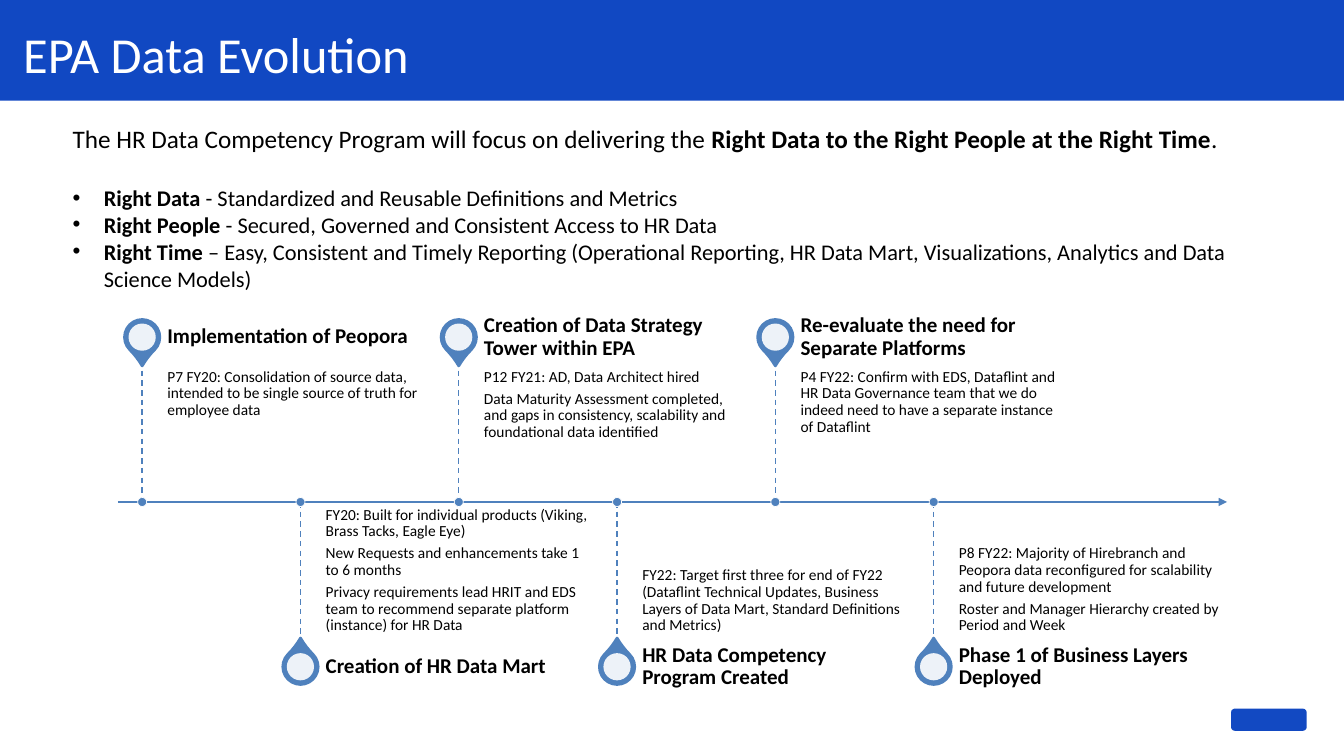
from lxml import etree
from pptx import Presentation
from pptx import util as u
from pptx.dml import color
from pptx.enum import dml, shapes, text
from pptx.oxml import ns

COLOURS = {"brand": "1148C2", "logo": "1249C2", "accent": "4F81BD",
           "white": "FFFFFF", "black": "000000"}
ANCHOR = text.MSO_ANCHOR

AXIS_Y = 4.98
FIRST_X, STEP_X = 1.41, 1.57
PIN, HOLE, DOT = 0.35, 0.27, 0.09
TEXT_W, DETAIL_H, HEADING_H = 2.62, 1.39, 0.49

# Milestones alternate above and below the axis
MILESTONES = [
    ("Implementation of Peopora",
     ["P7 FY20: Consolidation of source data, intended to be single source of "
      "truth for employee data"]),
    ("Creation of HR Data Mart",
     ["FY20: Built for individual products (Viking, Brass Tacks, Eagle Eye)",
      "New Requests and enhancements take 1 to 6 months",
      "Privacy requirements lead HRIT and EDS team to recommend separate "
      "platform (instance) for HR Data"]),
    ("Creation of Data Strategy Tower within EPA",
     ["P12 FY21: AD, Data Architect hired",
      "Data Maturity Assessment completed, and gaps in consistency, "
      "scalability and foundational data identified"]),
    ("HR Data Competency Program Created",
     ["FY22: Target first three for end of FY22 (Dataflint Technical Updates, "
      "Business Layers of Data Mart, Standard Definitions and Metrics)"]),
    ("Re-evaluate the need for Separate Platforms",
     ["P4 FY22: Confirm with EDS, Dataflint and HR Data Governance team that "
      "we do indeed need to have a separate instance of Dataflint"]),
    ("Phase 1 of Business Layers Deployed",
     ["P8 FY22: Majority of Hirebranch and Peopora data reconfigured for "
      "scalability and future development",
      "Roster and Manager Hierarchy created by Period and Week"]),
]

INTRO = [("The HR Data Competency Program will focus on delivering the ", False),
         ("Right Data to the Right People at the Right Time", True), (".", False)]
PRINCIPLES = [
    ("Right Data", " - Standardized and Reusable Definitions and Metrics"),
    ("Right People", " - Secured, Governed and Consistent Access to HR Data"),
    ("Right Time", " – Easy, Consistent and Timely Reporting (Operational "
     "Reporting, HR Data Mart, Visualizations, Analytics and Data Science Models)"),
]


def rgb(name):
    return color.RGBColor.from_string(COLOURS[name])


def add_text(paragraph, words, size=11, bold=False, colour="black"):
    run = paragraph.add_run()
    run.text = words
    run.font.name = "Calibri"
    run.font.size = u.Pt(size)
    run.font.bold = bold
    run.font.color.rgb = rgb(colour)


def set_bullet(paragraph, char=None, indent=0):
    props = paragraph._p.get_or_add_pPr()
    props.set("marL", str(u.Inches(indent)))
    props.set("indent", str(-u.Inches(indent)))
    if char:
        etree.SubElement(props, ns.qn("a:buFont")).set("typeface", "Arial")
        etree.SubElement(props, ns.qn("a:buChar")).set("char", char)
    else:
        etree.SubElement(props, ns.qn("a:buNone"))


def place(shape, left, top, width, height):
    shape.left, shape.top = u.Inches(left), u.Inches(top)
    shape.width, shape.height = u.Inches(width), u.Inches(height)


def set_frame(frame, insets, anchor):
    frame.word_wrap = True
    frame.auto_size = text.MSO_AUTO_SIZE.NONE
    frame.vertical_anchor = anchor
    (frame.margin_left, frame.margin_top,
     frame.margin_right, frame.margin_bottom) = map(u.Inches, insets)


class TimelineSlide:
    def __init__(self, prs):
        self.slide = prs.slides.add_slide(prs.slide_layouts[1])
        self.shapes = self.slide.shapes

    def shape(self, kind, left, top, width, height, fill, line=None, weight=1):
        item = self.shapes.add_shape(kind, *map(u.Inches, (left, top, width, height)))
        item.shadow.inherit = False
        item.fill.solid()
        item.fill.fore_color.rgb = rgb(fill)
        if line:
            item.line.color.rgb = rgb(line)
            item.line.width = u.Pt(weight)
        else:
            item.line.fill.background()
        return item

    def disc(self, x, y, size, *style):
        return self.shape(shapes.MSO_SHAPE.OVAL, x - size / 2, y - size / 2,
                          size, size, *style)

    def line(self, x1, y1, x2, y2, weight, dashed=False, arrow=False):
        item = self.shapes.add_connector(shapes.MSO_CONNECTOR.STRAIGHT,
                                         *map(u.Inches, (x1, y1, x2, y2)))
        item.line.color.rgb = rgb("accent")
        item.line.width = u.Pt(weight)
        if dashed:
            item.line.dash_style = dml.MSO_LINE.DASH
        if arrow:
            etree.SubElement(item.line._ln, ns.qn("a:tailEnd")).set("type", "triangle")
        etree.SubElement(item._element.spPr, ns.qn("a:effectLst"))

    def text_box(self, left, top, height, lines, insets, anchor, size, bold=False):
        box = self.shapes.add_textbox(*map(u.Inches, (left, top, TEXT_W, height)))
        frame = box.text_frame
        set_frame(frame, insets, anchor)
        for i, words in enumerate(lines):
            paragraph = frame.add_paragraph() if i else frame.paragraphs[0]
            paragraph.line_spacing = 0.9
            paragraph.space_after = u.Pt(0.35 * size)
            add_text(paragraph, words, size=size, bold=bold)

    def title(self, words):
        band = self.shape(shapes.MSO_SHAPE.RECTANGLE, 0, 0, 13.33, 1, "brand")
        self.shapes._spTree.insert(2, band._element)  # behind the title
        heading = self.shapes.title
        place(heading, 0.23, 0.17, 12.84, 0.71)
        set_frame(heading.text_frame, (0, 0, 0, 0), ANCHOR.MIDDLE)
        paragraph = heading.text_frame.paragraphs[0]
        paragraph.alignment = text.PP_ALIGN.LEFT
        add_text(paragraph, words, size=36, colour="white")

    def body(self, intro, principles):
        body = self.slide.placeholders[1]
        place(body, 0.62, 1.17, 11.82, 1.78)
        frame = body.text_frame
        set_frame(frame, (0.1, 0.05, 0.1, 0.05), ANCHOR.TOP)
        lead = frame.paragraphs[0]
        set_bullet(lead)
        lead.space_before = u.Pt(0)
        for words, bold in intro:
            add_text(lead, words, size=18, bold=bold)
        for i, (term, meaning) in enumerate(principles):
            paragraph = frame.add_paragraph()
            set_bullet(paragraph, "•", 0.31)
            paragraph.space_before = u.Pt(0 if i else 22)
            add_text(paragraph, term, size=16, bold=True)
            add_text(paragraph, meaning, size=16)

    def milestone(self, x, above, heading, details):
        heading_y = 3.1 if above else AXIS_Y + DETAIL_H
        pin_y = heading_y + 0.07 + PIN / 2
        stem_end = AXIS_Y - 1.4 if above else AXIS_Y + DETAIL_H
        # Pin
        pin = self.shape(shapes.MSO_SHAPE.TEAR, x - PIN / 2, pin_y - PIN / 2,
                         PIN, PIN, "accent", "accent", 2)
        pin.adjustments[0] = 1.15
        pin.rotation = 135 if above else 315
        hole = self.disc(x, pin_y, HOLE, "white")
        fill = hole._element.spPr.find(ns.qn("a:solidFill"))
        etree.SubElement(fill[0], ns.qn("a:alpha")).set("val", "90000")
        # Details and heading
        self.text_box(x + 0.25, stem_end if above else AXIS_Y, DETAIL_H, details,
                      (0, 0.08, 0.08, 0.11) if above else (0, 0.11, 0, 0.08),
                      ANCHOR.TOP if above else ANCHOR.BOTTOM, 11)
        self.text_box(x + 0.25, heading_y, HEADING_H, [heading],
                      (0, 0, 0.1, 0), ANCHOR.MIDDLE, 15, bold=True)
        # Stem and dot on the axis
        self.line(x, min(stem_end, AXIS_Y), x, max(stem_end, AXIS_Y), 1, dashed=True)
        self.disc(x, AXIS_Y, DOT, "accent", "white", 0.5)


def main():
    prs = Presentation()
    prs.slide_width, prs.slide_height = u.Inches(13.33), u.Inches(7.5)
    page = TimelineSlide(prs)

    # Title and principles
    page.title("EPA Data Evolution")
    page.body(INTRO, PRINCIPLES)

    # Timeline
    page.line(1.17, AXIS_Y, 12.17, AXIS_Y, 1.5, arrow=True)
    for i, (heading, details) in enumerate(MILESTONES):
        page.milestone(FIRST_X + i * STEP_X, i % 2 == 0, heading, details)

    # Corner mark
    page.shape(shapes.MSO_SHAPE.ROUNDED_RECTANGLE, 12.21, 7.03, 0.75, 0.22, "logo")
    prs.save("out.pptx")


if __name__ == "__main__":
    main()
